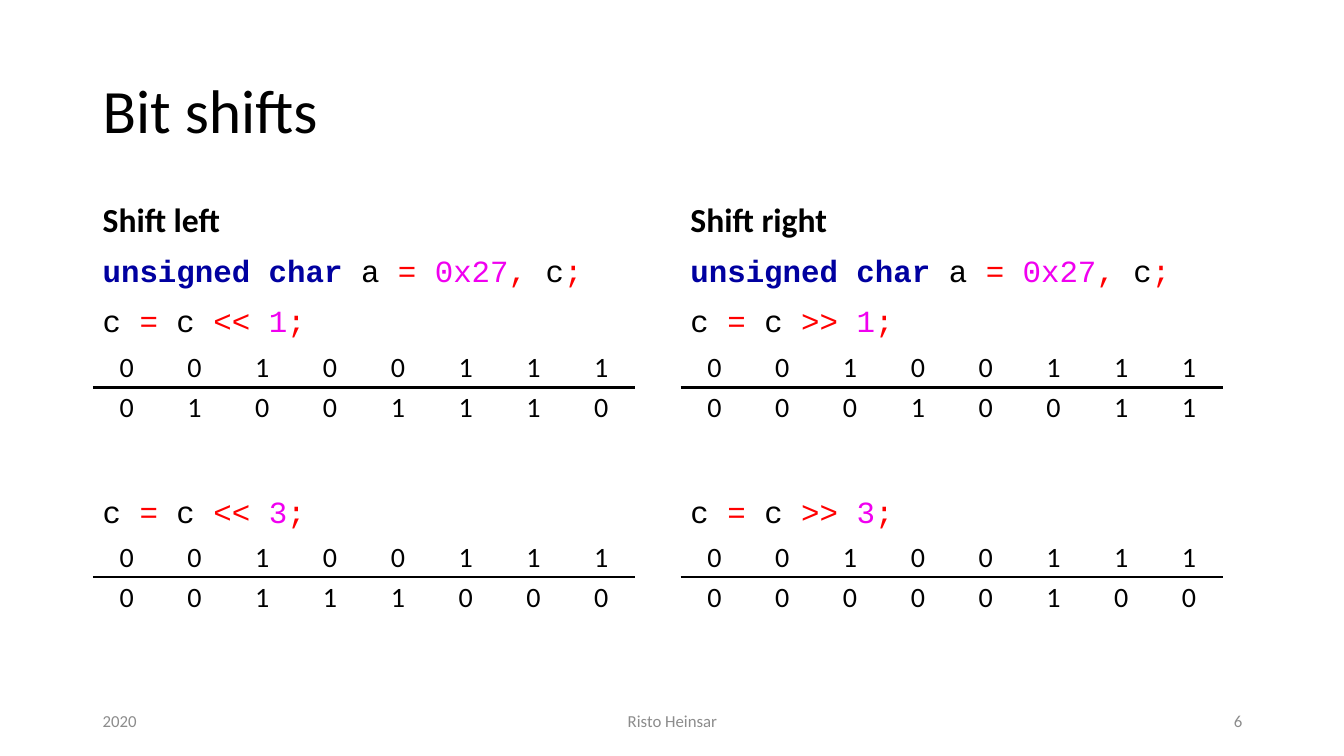
from lxml.etree import SubElement
from pptx import Presentation
from pptx.dml.color import RGBColor
from pptx.enum.text import MSO_ANCHOR as ANCHOR, PP_ALIGN as ALIGN
from pptx.oxml import parse_xml
from pptx.oxml.ns import nsdecls, qn
from pptx.util import Inches, Pt

BLACK, GREY = "000000", "8C8C8C"
KEYWORD, OPERATOR, NUMBER = "0000A0", "FF0000", "F000F0"
NO_STYLE = "{2D5ABB26-0587-4C30-8999-92F81FD0307C}"

prs = Presentation()
prs.slide_width, prs.slide_height = Inches(13.33), Inches(7.5)
s = prs.slides.add_slide(prs.slide_layouts[6])


def write(tf, lines, size=20, font="Calibri", color=BLACK, bold=False,
          align=ALIGN.LEFT, spacing=1.0, before=0):
    """Fill a frame; each line is a string or a list of (text, color) runs."""
    for i, line in enumerate(lines):
        p = tf.add_paragraph() if i else tf.paragraphs[0]
        p.alignment, p.line_spacing, p.space_before = align, spacing, Pt(before)
        for text, run_color in [(line, color)] if isinstance(line, str) else line:
            r = p.add_run()
            r.text = text
            r.font.size, r.font.name = Pt(size), font
            r.font.bold = bold or run_color == KEYWORD
            r.font.color.rgb = RGBColor.from_string(run_color)


def text_box(x, y, w, h, lines, anchor=ANCHOR.MIDDLE, **fmt):
    sp = s.shapes.add_textbox(Inches(x), Inches(y), Inches(w), Inches(h))
    tf = sp.text_frame
    tf.word_wrap, tf.vertical_anchor = True, anchor
    write(tf, lines, **fmt)


# Title
text_box(0.92, 0.4, 11.5, 1.45, ["Bit shifts"], size=44, spacing=0.9)

# Two columns: heading, code and bit tables
code = dict(anchor=ANCHOR.TOP, size=22, font="Courier New", spacing=0.97, before=10)
declaration = [("unsigned char ", KEYWORD), ("a ", BLACK), ("= ", OPERATOR),
               ("0x27", NUMBER), (", ", OPERATOR), ("c", BLACK), (";", OPERATOR)]
value = 0x27

for x, heading, operator in [(0.92, "Shift left", "<<"), (6.75, "Shift right", ">>")]:
    text_box(x, 1.84, 5.64, 0.59, [heading], anchor=ANCHOR.BOTTOM,
             size=24, bold=True, spacing=0.9, before=10)

    for count, code_y, code_h, table_y in [(1, 2.47, 0.98, 3.45), (3, 4.86, 0.47, 5.33)]:
        shift = [("c ", BLACK), ("= ", OPERATOR), ("c ", BLACK),
                 (operator + " ", OPERATOR), (str(count), NUMBER), (";", OPERATOR)]
        text_box(x, code_y, 5.64, code_h,
                 [declaration, shift] if count == 1 else [shift], **code)

        # Bits before and after the shift, with a rule between the rows
        result = value << count & 0xFF if operator == "<<" else value >> count
        table = s.shapes.add_table(2, 8, Inches(x), Inches(table_y),
                                   Inches(5.38), Inches(0.79)).table
        table.first_row = table.horz_banding = False
        table._tbl.tblPr.find(qn("a:tableStyleId")).text = NO_STYLE
        for row, (number, edge) in enumerate([(value, "lnB"), (result, "lnT")]):
            for col, bit in enumerate(f"{number:08b}"):
                cell = table.cell(row, col)
                cell.margin_left = cell.margin_right = cell.margin_top = Inches(0.01)
                cell.margin_bottom = 0
                cell.vertical_anchor = ANCHOR.MIDDLE
                write(cell.text_frame, [bit], align=ALIGN.CENTER)
                cell._tc.get_or_add_tcPr().append(parse_xml(
                    f'<a:{edge} {nsdecls("a")} w="{Pt(2.25)}"><a:solidFill>'
                    f'<a:srgbClr val="{BLACK}"/></a:solidFill></a:{edge}>'))
                cell.fill.background()

# Footer
for x, w, text, align in [(0.92, 3, "2020", ALIGN.LEFT),
                          (4.42, 4.5, "Risto Heinsar", ALIGN.CENTER),
                          (9.42, 3, "6", ALIGN.RIGHT)]:
    text_box(x, 6.95, w, 0.4, [text], size=12, color=GREY, align=align)

prs.save("out.pptx")
